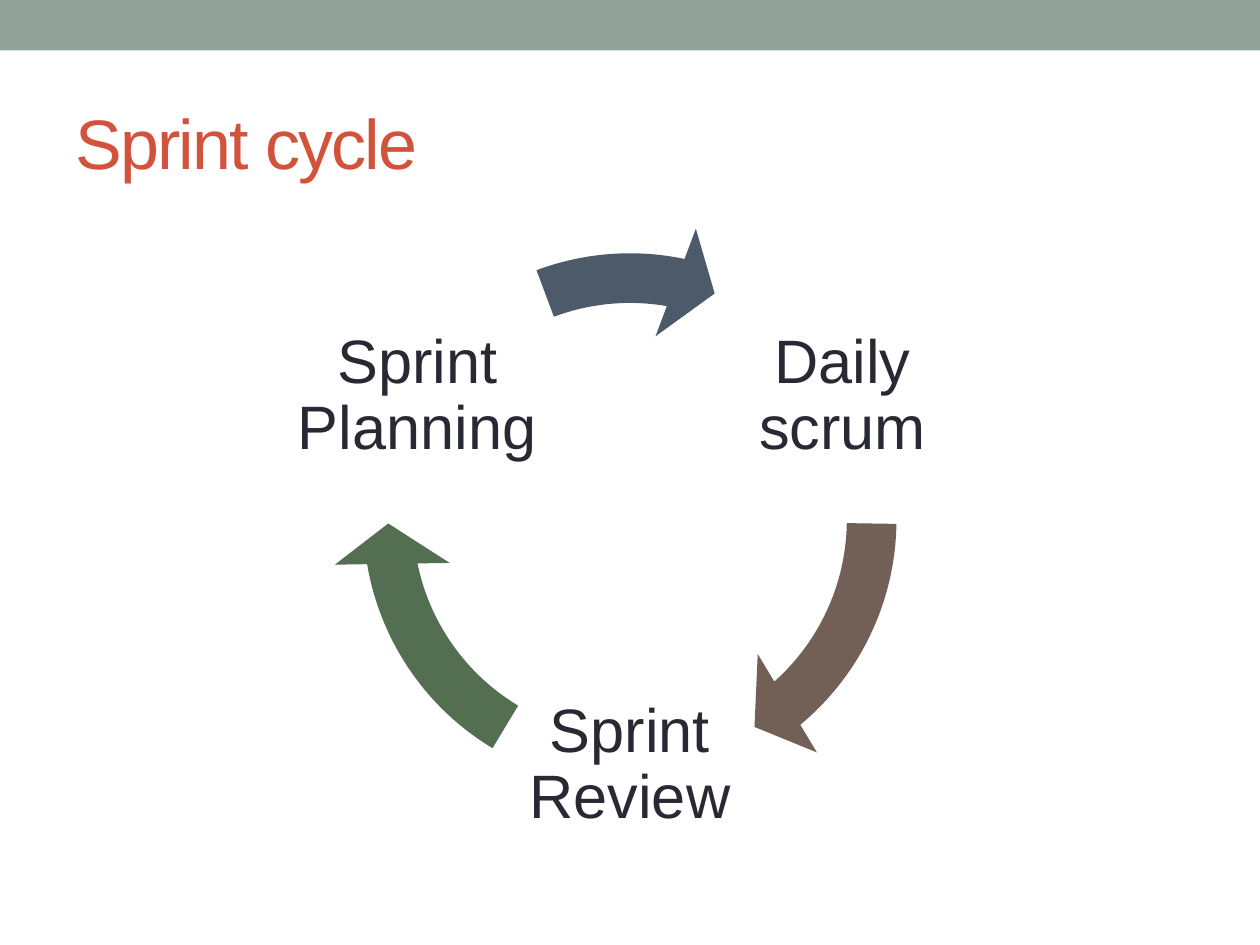
import math

import pptx
import pptx.dml.color
import pptx.enum.shapes
import pptx.enum.text
import pptx.util

Cm = pptx.util.Cm
RGBColor = pptx.dml.color.RGBColor
SHAPE = pptx.enum.shapes.MSO_SHAPE
ALIGN = pptx.enum.text.PP_ALIGN

SAGE = RGBColor(0x93, 0xA2, 0x99)
RED = RGBColor(0xD2, 0x53, 0x3C)
INK = RGBColor(0x29, 0x29, 0x34)
BROWN = RGBColor(0x72, 0x60, 0x56)
GREEN = RGBColor(0x53, 0x6E, 0x51)
SLATE = RGBColor(0x4C, 0x5A, 0x6A)

STEPS = [
    ("Daily scrum", -30, BROWN, 0.88, 49.37),
    ("Sprint Review", 90, GREEN, 121.03, 169.51),
    ("Sprint Planning", 210, SLATE, 249.48, 280.92),
]


def add_text(shapes, box, text, *, size, color, align=ALIGN.LEFT,
             inset=0.25, line_spacing=1.0, tracking=0):
    """Add a vertically centred text box, with lengths in centimetres."""
    frame = shapes.add_textbox(*map(Cm, box)).text_frame
    frame.word_wrap = True
    frame.vertical_anchor = pptx.enum.text.MSO_ANCHOR.MIDDLE
    frame.margin_left = frame.margin_right = Cm(inset)
    frame.margin_top = frame.margin_bottom = Cm(0.13)
    para = frame.paragraphs[0]
    para.alignment = align
    para.line_spacing = line_spacing
    span = para.add_run()
    span.text = text
    span.font.name = "Arial"
    span.font.size = pptx.util.Pt(size)
    span.font.color.rgb = color
    if tracking:
        span.font._element.set("spc", str(tracking * 100))


def add_filled(shapes, kind, box, color):
    """Add a flat preset shape without outline."""
    shape = shapes.add_shape(kind, *map(Cm, box))
    shape.shadow.inherit = False
    shape.fill.solid()
    shape.fill.fore_color.rgb = color
    shape.line.fill.background()
    return shape


def add_header(page, box):
    """Draw the top band and the title below it."""
    left, top, width, height = box
    add_filled(page.shapes, SHAPE.RECTANGLE, (left, top, width, 1.02), SAGE)
    add_text(page.shapes, (left + 1.27, top + 1.47, width - 2.54, height - 1.47),
             "Sprint cycle", size=40, color=RED, tracking=-1)


def add_cycle(page, box):
    """Draw the steps around a circle, each followed by its arrow."""
    left, top, width, height = box
    center_x, center_y = left + width / 2, top + height / 2
    radius, side = 4.95, 5.1
    cycle = page.shapes.add_group_shape()
    for label, angle, color, start, end in STEPS:
        x = center_x + radius * math.cos(math.radians(angle))
        y = center_y + radius * math.sin(math.radians(angle))
        add_text(cycle.shapes, (x - side / 2, y - side / 2, side, side), label,
                 size=35, color=INK, align=ALIGN.CENTER, inset=0.13, line_spacing=0.9)
        arrow = add_filled(cycle.shapes, SHAPE.CIRCULAR_ARROW, box, color)
        degree = 0.6
        values = (0.083, 9.61 * degree, end * degree, start * degree, 0.096)
        for index, value in enumerate(values):
            arrow.adjustments[index] = value


def main():
    """Build the sprint cycle slide."""
    deck = pptx.Presentation()
    deck.slide_width, deck.slide_height = Cm(25.4), Cm(19.05)
    page = deck.slides.add_slide(deck.slide_layouts[6])
    add_header(page, (0, 0, 25.4, 4.22))
    add_cycle(page, (6.67, 4.45, 12.06, 12.06))
    deck.save("out.pptx")


if __name__ == "__main__":
    main()
